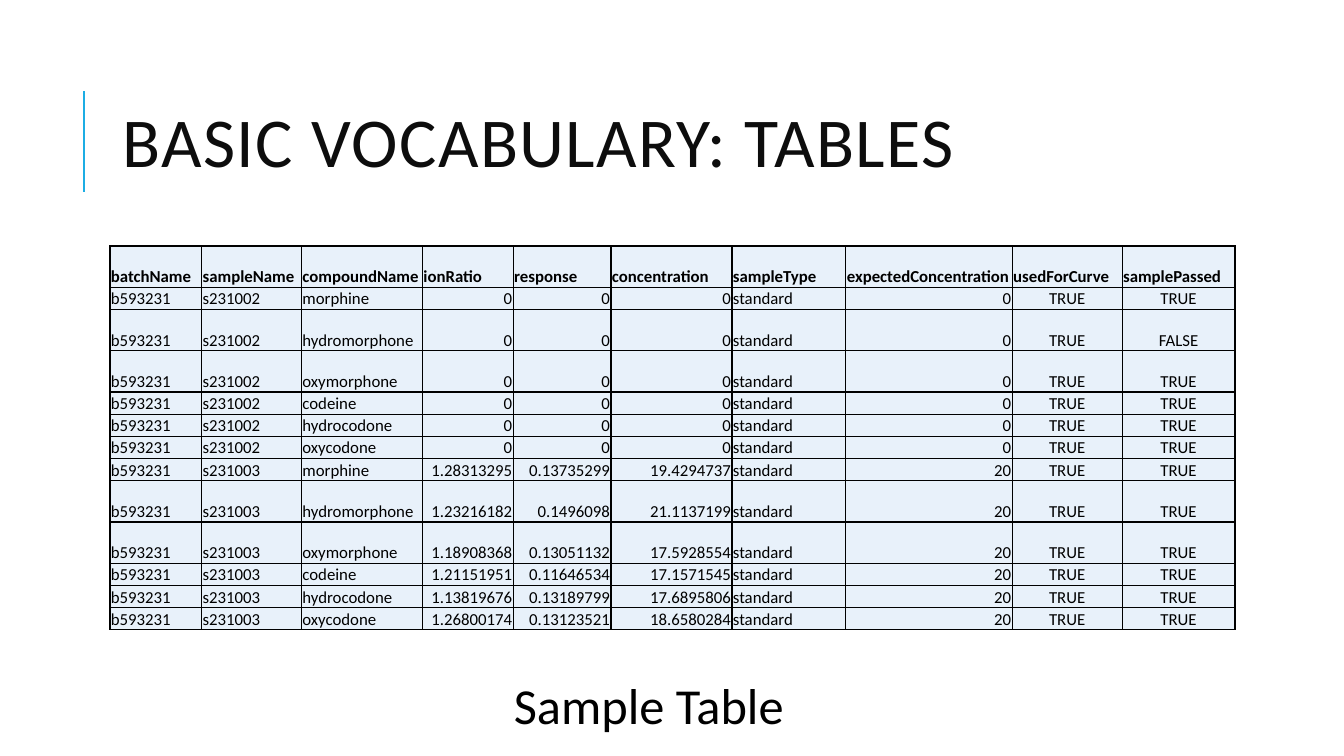
from lxml import etree
from pptx import Presentation
from pptx.dml.color import RGBColor
from pptx.enum import shapes, text
from pptx.oxml import ns
from pptx.util import Inches, Pt

# Content
TITLE = "BASIC VOCABULARY: TABLES"
CAPTION = "Sample Table"
LEFT, CENTER, RIGHT = text.PP_ALIGN.LEFT, text.PP_ALIGN.CENTER, text.PP_ALIGN.RIGHT
COLUMNS = [  # heading, width in inches, alignment of the values
    ("batchName", 0.91, LEFT),
    ("sampleName", 0.99, LEFT),
    ("compoundName", 1.2, LEFT),
    ("ionRatio", 0.9, RIGHT),
    ("response", 0.97, RIGHT),
    ("concentration", 1.2, RIGHT),
    ("sampleType", 1.13, LEFT),
    ("expectedConcentration", 1.65, RIGHT),
    ("usedForCurve", 1.09, CENTER),
    ("samplePassed", 1.12, CENTER),
]
BATCH, SAMPLE_TYPE, USED = "b593231", "standard", "TRUE"
MEASUREMENTS = [  # sample, compound, ratio, response, concentration, expected, passed
    ("s231002", "morphine", "0", "0", "0", "0", "TRUE"),
    ("s231002", "hydromorphone", "0", "0", "0", "0", "FALSE"),
    ("s231002", "oxymorphone", "0", "0", "0", "0", "TRUE"),
    ("s231002", "codeine", "0", "0", "0", "0", "TRUE"),
    ("s231002", "hydrocodone", "0", "0", "0", "0", "TRUE"),
    ("s231002", "oxycodone", "0", "0", "0", "0", "TRUE"),
    ("s231003", "morphine", "1.28313295", "0.13735299", "19.4294737", "20", "TRUE"),
    ("s231003", "hydromorphone", "1.23216182", "0.1496098", "21.1137199", "20", "TRUE"),
    ("s231003", "oxymorphone", "1.18908368", "0.13051132", "17.5928554", "20", "TRUE"),
    ("s231003", "codeine", "1.21151951", "0.11646534", "17.1571545", "20", "TRUE"),
    ("s231003", "hydrocodone", "1.13819676", "0.13189799", "17.6895806", "20", "TRUE"),
    ("s231003", "oxycodone", "1.26800174", "0.13123521", "18.6580284", "20", "TRUE"),
]
TALL_COMPOUNDS = {"compoundName", "hydromorphone", "oxymorphone"}
TALL_ROW, SHORT_ROW = 0.41, 0.22

THEME = {
    "font": "Calibri",
    "title": "0D0D0D", "ink": "000000", "accent": "1CADE4", "cell": "E8F1FA",
    "title_size": 50, "caption_size": 36, "table_size": 12,
}


def write(frame, words, size, color=THEME["ink"], bold=False, align=LEFT,
          line_spacing=None, tracking=None):
    paragraph = frame.paragraphs[0]
    paragraph.alignment = align
    if line_spacing:
        paragraph.line_spacing = line_spacing
    run = paragraph.add_run()
    run.text = words
    run.font.name, run.font.size, run.font.bold = THEME["font"], Pt(size), bold
    run.font.color.rgb = RGBColor.from_string(color)
    if tracking:
        run.font._element.set("spc", str(tracking * 100))


def add_text(slide, box, words, size, anchor=text.MSO_ANCHOR.TOP, **style):
    frame = slide.shapes.add_textbox(*map(Inches, box)).text_frame
    frame.word_wrap = True
    frame.vertical_anchor = anchor
    write(frame, words, size, **style)


def add_borders(cell, color, width):
    properties = cell._tc.get_or_add_tcPr()
    for position, side in enumerate(("a:lnL", "a:lnR", "a:lnT", "a:lnB")):
        line = etree.Element(ns.qn(side), w=str(Pt(width)))
        fill = etree.SubElement(line, ns.qn("a:solidFill"))
        etree.SubElement(fill, ns.qn("a:srgbClr"), val=color)
        properties.insert(position, line)


def add_sample_table(slide):
    rows = [[heading for heading, _, _ in COLUMNS]]
    for sample, compound, ratio, response, concentration, expected, passed in MEASUREMENTS:
        rows.append([BATCH, sample, compound, ratio, response, concentration,
                     SAMPLE_TYPE, expected, USED, passed])
    heights = [TALL_ROW if row[2] in TALL_COMPOUNDS else SHORT_ROW for row in rows]
    width = sum(column[1] for column in COLUMNS)
    table = slide.shapes.add_table(
        len(rows), len(COLUMNS), Inches(1.09), Inches(2.44),
        Inches(width), Inches(sum(heights))).table
    table.first_row = table.horz_banding = False
    for column, (_, column_width, _) in zip(table.columns, COLUMNS):
        column.width = Inches(column_width)
    for r, (values, height) in enumerate(zip(rows, heights)):
        table.rows[r].height = Inches(height)
        for c, value in enumerate(values):
            cell = table.cell(r, c)
            cell.margin_left = cell.margin_right = cell.margin_top = Inches(0.01)
            cell.margin_bottom = 0
            cell.vertical_anchor = text.MSO_ANCHOR.BOTTOM
            cell.fill.solid()
            cell.fill.fore_color.rgb = RGBColor.from_string(THEME["cell"])
            add_borders(cell, THEME["ink"], 1)
            write(cell.text_frame, value, THEME["table_size"], bold=r == 0,
                  align=COLUMNS[c][2] if r else LEFT)


def main():
    presentation = Presentation()
    presentation.slide_width, presentation.slide_height = Inches(13.33), Inches(7.5)
    slide = presentation.slides.add_slide(presentation.slide_layouts[6])

    # Accent rule beside the title
    rule = slide.shapes.add_connector(
        shapes.MSO_CONNECTOR.STRAIGHT, Inches(0.83), Inches(1.9), Inches(0.83), Inches(0.9))
    rule.line.color.rgb = RGBColor.from_string(THEME["accent"])
    rule.line.width = Pt(1.5)
    etree.SubElement(rule._element.spPr, ns.qn("a:effectLst"))

    # Title, table and caption
    add_text(slide, (1.12, 0.64, 10.63, 1.64), TITLE, THEME["title_size"],
             anchor=text.MSO_ANCHOR.MIDDLE, color=THEME["title"],
             line_spacing=0.8, tracking=1)
    add_sample_table(slide)
    add_text(slide, (3.58, 6.64, 5.71, 0.71), CAPTION, THEME["caption_size"], align=CENTER)
    presentation.save("out.pptx")


if __name__ == "__main__":
    main()
